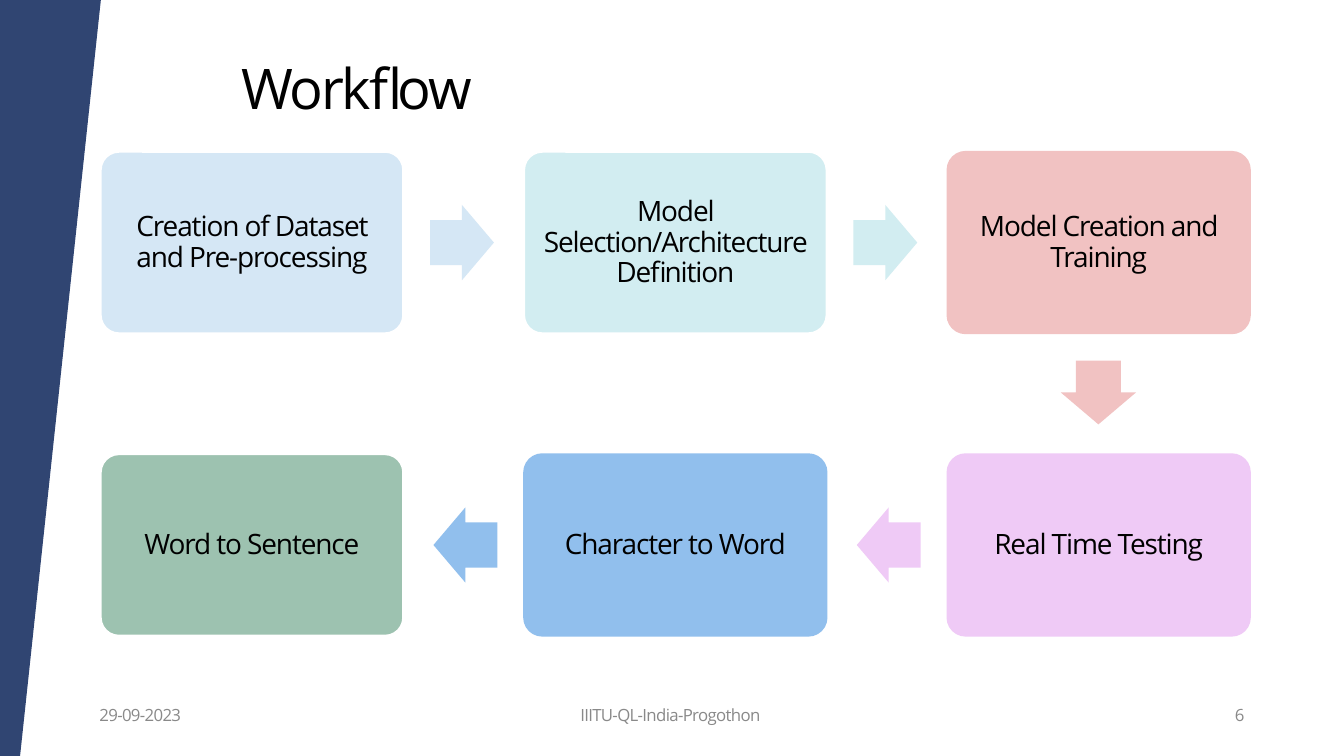
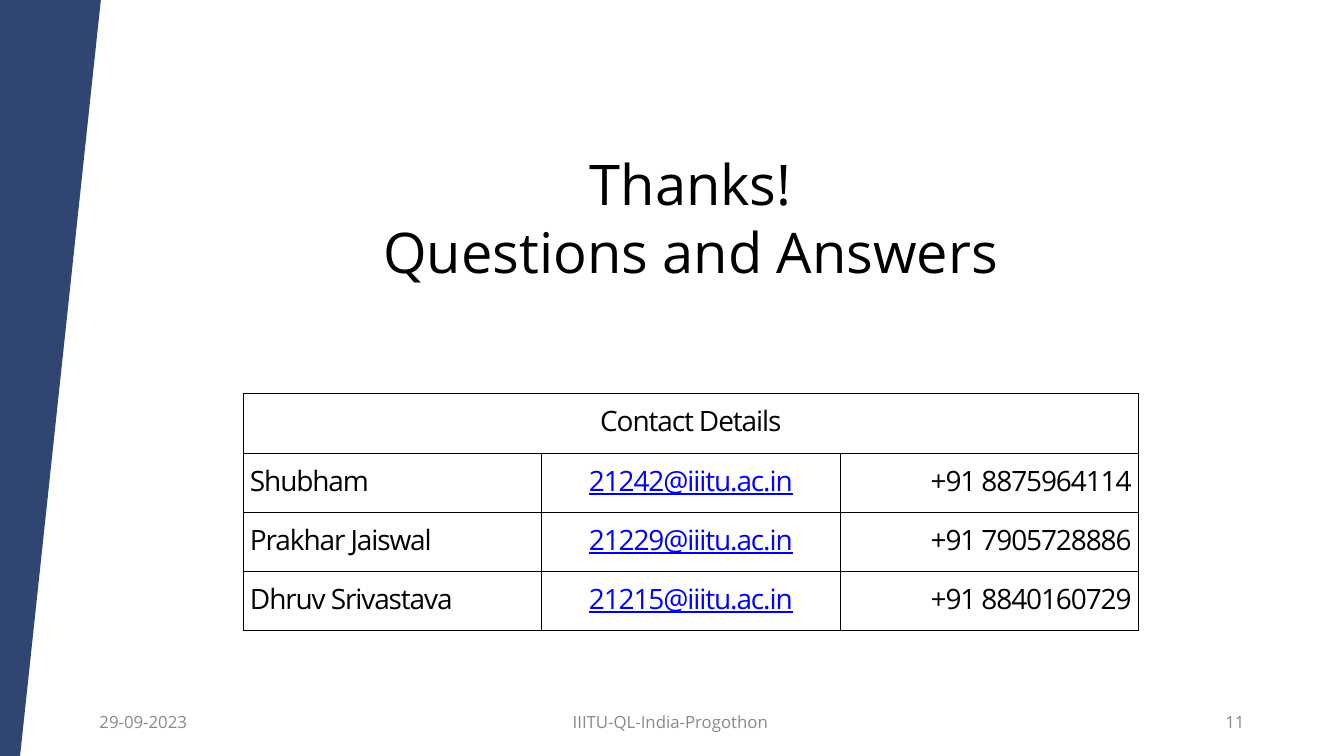
from lxml import etree
from pptx import Presentation
from pptx.dml.color import RGBColor
from pptx.enum import shapes, text
from pptx.oxml.ns import qn
from pptx.util import Inches, Pt

FONT = "Open Sans"
BLACK = RGBColor(0x00, 0x00, 0x00)
WHITE = RGBColor(0xFF, 0xFF, 0xFF)
GREY = RGBColor(0x89, 0x89, 0x89)
LINK = RGBColor(0x00, 0x00, 0xFF)
NAVY = RGBColor(0x30, 0x45, 0x72)
SKY = RGBColor(0xD5, 0xE7, 0xF5)
AQUA = RGBColor(0xD2, 0xED, 0xF1)
ROSE = RGBColor(0xF1, 0xC2, 0xC2)
LILAC = RGBColor(0xEF, 0xCA, 0xF6)
BLUE = RGBColor(0x91, 0xBF, 0xED)
SAGE = RGBColor(0x9D, 0xC2, 0xB0)

LEFT, CENTER, RIGHT = (text.PP_ALIGN.LEFT, text.PP_ALIGN.CENTER, text.PP_ALIGN.RIGHT)
TOP, MIDDLE = text.MSO_ANCHOR.TOP, text.MSO_ANCHOR.MIDDLE

STEPS = [
    ("Creation of Dataset and Pre-processing", SKY, WHITE, 0, 0, 0),
    ("Model Selection/Architecture Definition", AQUA, WHITE, 1, 0, 0),
    ("Model Creation and Training", ROSE, ROSE, 2, 0, 90),
    ("Real Time Testing", LILAC, LILAC, 2, 1, 180),
    ("Character to Word", BLUE, BLUE, 1, 1, 180),
    ("Word to Sentence", SAGE, WHITE, 0, 1, None),
]
ARROW_OFFSETS = {0: (4.9, 0.79), 90: (1.77, 3.02), 180: (-1.35, 0.79)}
CONTACTS = [
    ("Shubham", "21242@iiitu.ac.in", "+91 8875964114"),
    ("Prakhar Jaiswal", "21229@iiitu.ac.in", "+91 7905728886"),
    ("Dhruv Srivastava", "21215@iiitu.ac.in", "+91 8840160729"),
]


def set_all(obj, values):
    """Set every attribute named in values on obj."""
    for name, value in values.items():
        setattr(obj, name, value)


def inches(*lengths):
    """Turn numbers into lengths in inches."""
    return [Inches(n) for n in lengths]


def write(tf, lines, size, leading, align=LEFT, anchor=TOP, color=BLACK, spc=0, inset=0):
    """Fill a text frame with one formatted paragraph per line."""
    set_all(tf, dict(word_wrap=True, auto_size=text.MSO_AUTO_SIZE.NONE, vertical_anchor=anchor,
                     margin_left=Inches(inset), margin_right=Inches(inset),
                     margin_top=0, margin_bottom=0))
    for i, line in enumerate(lines):
        p = tf.add_paragraph() if i else tf.paragraphs[0]
        write_line(p, line, size, leading, align, color, spc)


def write_line(p, line, size, leading, align, color, spc, underline=False):
    """Add one formatted run to a paragraph."""
    set_all(p, dict(alignment=align, line_spacing=Pt(leading), space_before=Pt(0)))
    r = p.add_run()
    r.text = line
    set_all(r.font, dict(name=FONT, size=Pt(size), underline=underline))
    r.font.color.rgb = color
    if spc:
        r._r.get_or_add_rPr().set("spc", str(round(spc * 100)))


def add_filled(s, kind, box, fill, line=None):
    """Add a flat preset shape, outlined if a line colour is given."""
    sp = s.shapes.add_shape(kind, *inches(*box))
    sp.shadow.inherit = False
    sp.fill.solid()
    sp.fill.fore_color.rgb = fill
    if line is None:
        sp.line.fill.background()
    else:
        sp.line.color.rgb = line
        sp.line.width = Pt(2)
    return sp


def add_title(s, lines, box, **style):
    """Place and format the title placeholder."""
    sp = s.shapes.title
    set_all(sp, dict(zip(("left", "top", "width", "height"), inches(*box))))
    write(sp.text_frame, lines, 60, **style)


def add_footer(s, number, top, spc=0):
    """Add the date, event name and slide number along the bottom."""
    for left, width, line, align in ((1.48, 4.3, "29-09-2023", LEFT),
                                     (6.7, 6.55, "IIITU-QL-India-Progothon", CENTER),
                                     (14.22, 4.3, str(number), RIGHT)):
        sp = s.shapes.add_textbox(*inches(left, top, width, 0.3))
        write(sp.text_frame, [line], 18, 21.6, align, color=GREY, spc=spc)


def add_band(s):
    """Add the slanted band at the left edge."""
    sp = add_filled(s, shapes.MSO_SHAPE.RECTANGLE, (-0.65, -0.13, 1.52, 11.99), NAVY)
    sp.rotation = 6.1


def add_step(s, left, top, label, fill, line, turn):
    """Add a step box and the arrow that leads on from it."""
    sp = add_filled(s, shapes.MSO_SHAPE.ROUNDED_RECTANGLE, (left, top, 4.5, 2.7), fill, line)
    sp.adjustments[0] = 0.1
    write(sp.text_frame, [label], 30, 32.4, CENTER, MIDDLE, spc=-1.2, inset=0.17)
    if turn is not None:
        dx, dy = ARROW_OFFSETS[turn]
        arrow = add_filled(s, shapes.MSO_SHAPE.RIGHT_ARROW,
                           (left + dx, top + dy, 0.95, 1.12), fill)
        arrow.adjustments[0], arrow.adjustments[1] = 0.6, 0.5
        arrow.rotation = turn


def add_borders(cell):
    """Draw a thin black line on each side of a cell."""
    tc_pr = cell._tc.get_or_add_tcPr()
    for side in ("a:lnL", "a:lnR", "a:lnT", "a:lnB"):
        ln = etree.SubElement(tc_pr, qn(side), w=str(Pt(1)))
        fill = etree.SubElement(ln, qn("a:solidFill"))
        etree.SubElement(fill, qn("a:srgbClr"), val=str(BLACK))


def add_contacts(s, left, top, width, height):
    """Add the contact table with its merged heading row."""
    rows = [("Contact Details", "", "")] + CONTACTS
    table = s.shapes.add_table(len(rows), 3, *inches(left, top, width, height)).table
    set_all(table, dict(first_row=False, horz_banding=False))
    table.cell(0, 0).merge(table.cell(0, 2))
    for i, row in enumerate(rows):
        for j, value in enumerate(row):
            cell = table.cell(i, j)
            set_all(cell, dict(vertical_anchor=MIDDLE, **{
                f"margin_{side}": Inches(0.1) for side in ("left", "right", "top", "bottom")}))
            add_borders(cell)
            cell.fill.solid()
            cell.fill.fore_color.rgb = WHITE
            if value:
                link = i > 0 and j == 1
                align = (LEFT, CENTER, RIGHT)[j] if i else CENTER
                write_line(cell.text_frame.paragraphs[0], value, 30, 36, align,
                           LINK if link else BLACK, -1.2, link)


def workflow_slide(s):
    """Build the slide with the six workflow steps."""
    add_title(s, ["Workflow"], (3.59, 0.9, 15, 0.91), leading=64.8, spc=-2.4)
    add_footer(s, 6, 10.49, spc=-0.7)
    for label, fill, line, col, row, turn in STEPS:
        add_step(s, 1.5 + 6.3 * col, 2.26 + 4.5 * row, label, fill, line, turn)
    add_band(s)


def thanks_slide(s):
    """Build the closing slide with the contact table."""
    add_title(s, ["Thanks!", "Questions and Answers"], (5.38, 2.23, 9.8, 2),
              leading=72, align=CENTER)
    add_footer(s, 11, 10.59)
    add_contacts(s, 3.62, 5.86, 13.32, 3.52)
    add_band(s)


def main():
    """Build both slides and save them."""
    prs = Presentation()
    set_all(prs, dict(slide_width=Inches(20), slide_height=Inches(11.25)))
    for build in (workflow_slide, thanks_slide):
        build(prs.slides.add_slide(prs.slide_layouts[5]))
    prs.save("out.pptx")


if __name__ == "__main__":
    main()
